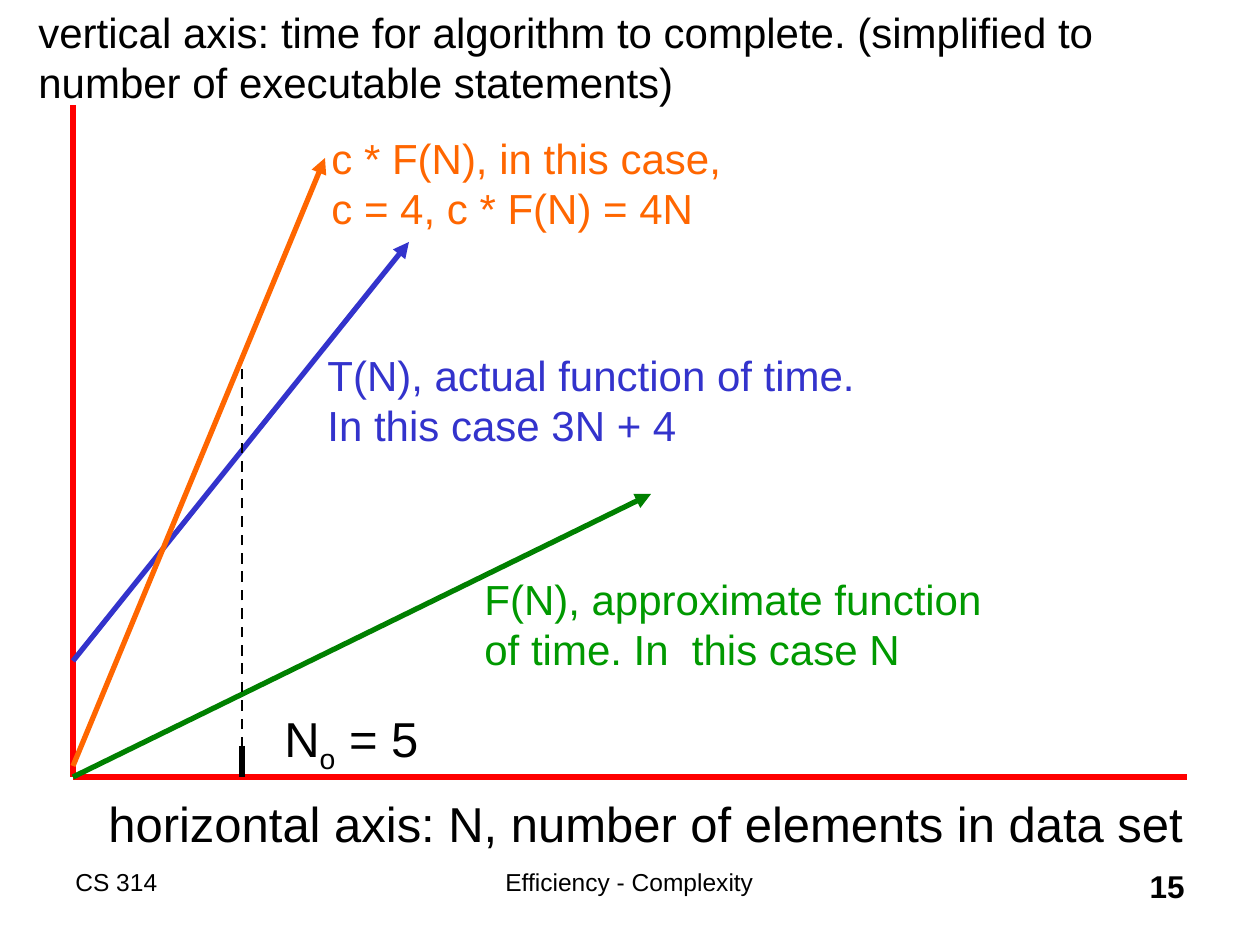
from lxml.etree import SubElement
from pptx import Presentation
from pptx.dml.color import RGBColor
from pptx.enum.dml import MSO_LINE
from pptx.enum.shapes import MSO_CONNECTOR
from pptx.enum.text import PP_ALIGN as AL
from pptx.oxml.ns import qn
from pptx.util import Pt

PX = 914400 // 126
BLACK = RGBColor(0, 0, 0)
RED = RGBColor(255, 0, 0)
BLUE = RGBColor(0x33, 0x33, 0xCC)
GREEN = RGBColor(0, 0x80, 0)
LIGHT_GREEN = RGBColor(0, 0x99, 0)
ORANGE = RGBColor(0xFF, 0x66, 0)

ORIGIN_X, ORIGIN_Y, N0_X = 73, 777, 242

AXES = [((ORIGIN_X, ORIGIN_Y), (1187, ORIGIN_Y)),
        ((ORIGIN_X, ORIGIN_Y), (ORIGIN_X, 105))]
CURVES = [((ORIGIN_X, 661), (409, 242), BLUE),
          ((ORIGIN_X, ORIGIN_Y), (651, 494), GREEN),
          ((ORIGIN_X, 766), (325, 158), ORANGE)]
LABELS = [
    ("horizontal axis: N, number of elements in data set", (96, 787, 1130, 72), 28, BLACK),
    ("vertical axis: time for algorithm to complete. (simplified to\v"
     "number of executable statements)", (26, 0, 1110, 113), 24, BLACK),
    ("T(N), actual function of time.\vIn this case 3N + 4", (315, 343, 564, 113), 24, BLUE),
    ("F(N), approximate function\vof time. In  this case N", (472, 567, 534, 113), 24, LIGHT_GREEN),
    ("c * F(N), in this case,\vc = 4, c * F(N) = 4N", (319, 126, 426, 113), 24, ORANGE),
]
FOOTERS = [("CS 314", (63, 861, 315, 63), 14, AL.LEFT, False),
           ("Efficiency - Complexity", (388, 861, 483, 63), 14, AL.CENTER, False),
           ("15", (935, 861, 262, 63), 18, AL.RIGHT, True)]
THRESHOLD = [("N", 0), ("o", -25000), (" = 5", 0)]


def add_text(s, text, box, size, color=BLACK, align=AL.LEFT, bold=False):
    tf = s.shapes.add_textbox(*(v * PX for v in box)).text_frame
    tf.word_wrap = True
    p = tf.paragraphs[0]
    p.text = text
    p.alignment = align
    f = p.font
    f.name, f.size, f.bold = "Arial", Pt(size), bold
    f.color.rgb = color
    return p


def add_line(s, start, end, color, width=3, arrow=False, dash=None):
    c = s.shapes.add_connector(MSO_CONNECTOR.STRAIGHT, *(v * PX for v in start + end))
    c.line.color.rgb = color
    c.line.width = Pt(width)
    if dash:
        c.line.dash_style = dash
    if arrow:
        SubElement(c.line._get_or_add_ln(), qn("a:tailEnd"), type="triangle")
    SubElement(c._element.spPr, qn("a:effectLst"))


prs = Presentation()
prs.slide_width, prs.slide_height = 1260 * PX, 945 * PX
s = prs.slides.add_slide(prs.slide_layouts[6])

for text, box, size, align, bold in FOOTERS:
    add_text(s, text, box, size, align=align, bold=bold)
for start, end in AXES:
    add_line(s, start, end, RED)
for start, end, color in CURVES:
    add_line(s, start, end, color, arrow=True)
for text, box, size, color in LABELS:
    add_text(s, text, box, size, color)

p = add_text(s, "", (272, 702, 173, 79), 28)
for text, baseline in THRESHOLD:
    r = p.add_run()
    r.text = text
    if baseline:
        r.font._element.set("baseline", str(baseline))

add_line(s, (N0_X, 746), (N0_X, ORIGIN_Y), BLACK)
add_line(s, (N0_X, 766), (N0_X, 368), BLACK, 1.5, dash=MSO_LINE.DASH)

prs.save("out.pptx")
